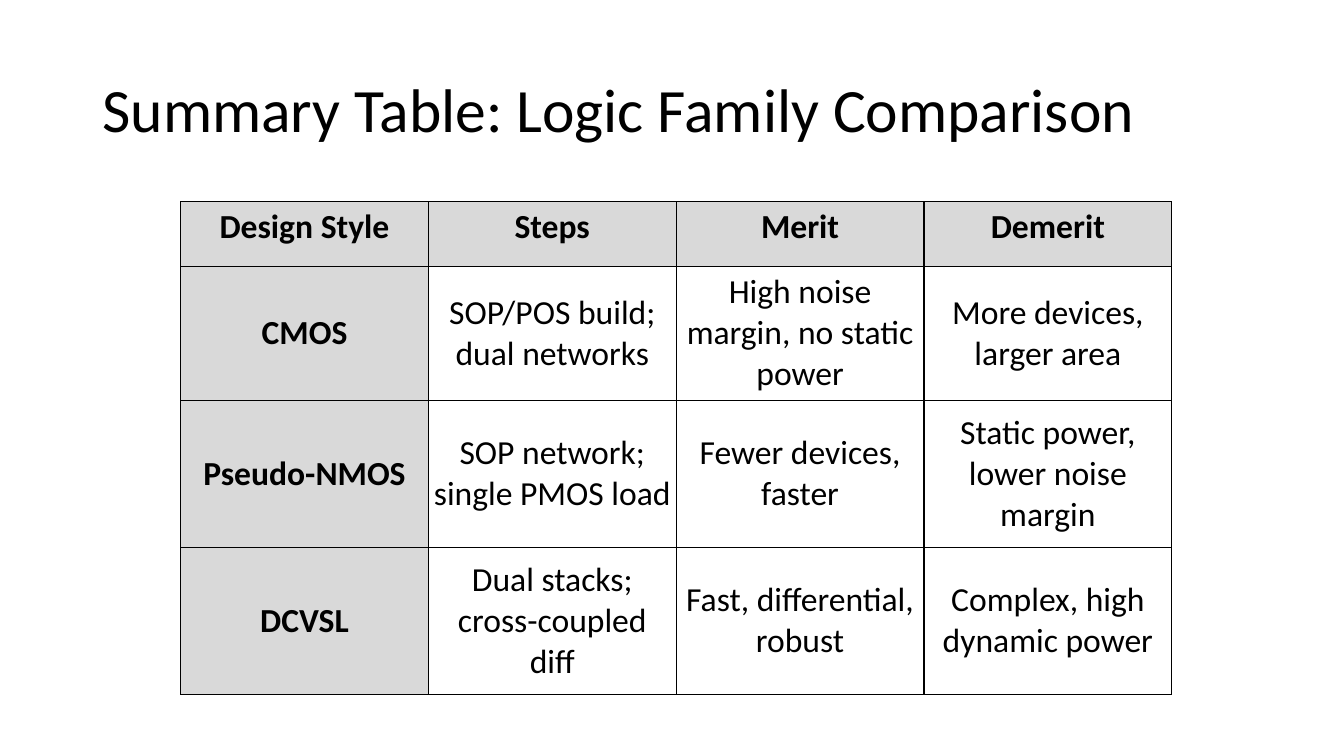
from lxml import etree
from pptx import Presentation
from pptx import util as u
from pptx.dml.color import RGBColor
from pptx.enum import text
from pptx.oxml import ns

PX = 9525  # EMU in one px, 96 px to the inch
THEME = dict(
    font="Calibri", ink="000000", label="D9D9D9",
    title=44, body=24, border=1,
)


def px(n):
    return u.Emu(n * PX)


def style(p, size, bold, align):
    p.alignment = align
    values = dict(name=THEME["font"], size=u.Pt(size), bold=bold)
    for r in p.runs:
        for key, value in values.items():
            setattr(r.font, key, value)
        r.font.color.rgb = RGBColor.from_string(THEME["ink"])


prs = Presentation()
prs.slide_width, prs.slide_height = px(1280), px(720)
s = prs.slides.add_slide(prs.slide_layouts[5])

# Title
title = s.shapes.title
title.left, title.top, title.width, title.height = map(px, (88, 38, 1104, 139))
tf = title.text_frame
tf.text = "Summary Table: Logic Family Comparison"
tf.word_wrap = True
tf.auto_size = text.MSO_AUTO_SIZE.NONE
tf.vertical_anchor = text.MSO_ANCHOR.MIDDLE
tf.paragraphs[0].line_spacing = 0.9
style(tf.paragraphs[0], THEME["title"], False, text.PP_ALIGN.LEFT)

# Comparison table
ROWS = [
    ("Design Style", "Steps", "Merit", "Demerit"),
    ("CMOS", "SOP/POS build; dual networks",
     "High noise margin, no static power", "More devices, larger area"),
    ("Pseudo-NMOS", "SOP network; single PMOS load",
     "Fewer devices, faster", "Static power, lower noise margin"),
    ("DCVSL", "Dual stacks; cross-coupled diff",
     "Fast, differential, robust", "Complex, high dynamic power"),
]
HEIGHTS = (62, 114, 140, 140)
COL_WIDTH, INSET = 236, 5
columns = len(ROWS[0])
table = s.shapes.add_table(
    len(ROWS), columns, px(172), px(192),
    px(COL_WIDTH * columns), px(sum(HEIGHTS))).table
table.first_row = table.horz_banding = False
for column in table.columns:
    column.width = px(COL_WIDTH)

for i, (row, height) in enumerate(zip(ROWS, HEIGHTS)):
    table.rows[i].height = px(height)
    for j, words in enumerate(row):
        cell = table.cell(i, j)
        is_label = i == 0 or j == 0
        cell.text = words
        style(cell.text_frame.paragraphs[0], THEME["body"], is_label,
              text.PP_ALIGN.CENTER)
        cell.vertical_anchor = (
            text.MSO_ANCHOR.MIDDLE if i else text.MSO_ANCHOR.TOP)
        for side in ("left", "right", "top", "bottom"):
            setattr(cell, f"margin_{side}", px(INSET))

        # Borders come before the fill in the cell properties
        tc_pr = cell._tc.get_or_add_tcPr()
        for edge in "LRTB":
            ln = etree.SubElement(tc_pr, ns.qn(f"a:ln{edge}"),
                                  w=str(u.Pt(THEME["border"])))
            fill = etree.SubElement(ln, ns.qn("a:solidFill"))
            etree.SubElement(fill, ns.qn("a:srgbClr"), val=THEME["ink"])
        if is_label:
            cell.fill.solid()
            cell.fill.fore_color.rgb = RGBColor.from_string(THEME["label"])
        else:
            cell.fill.background()

prs.save("out.pptx")
